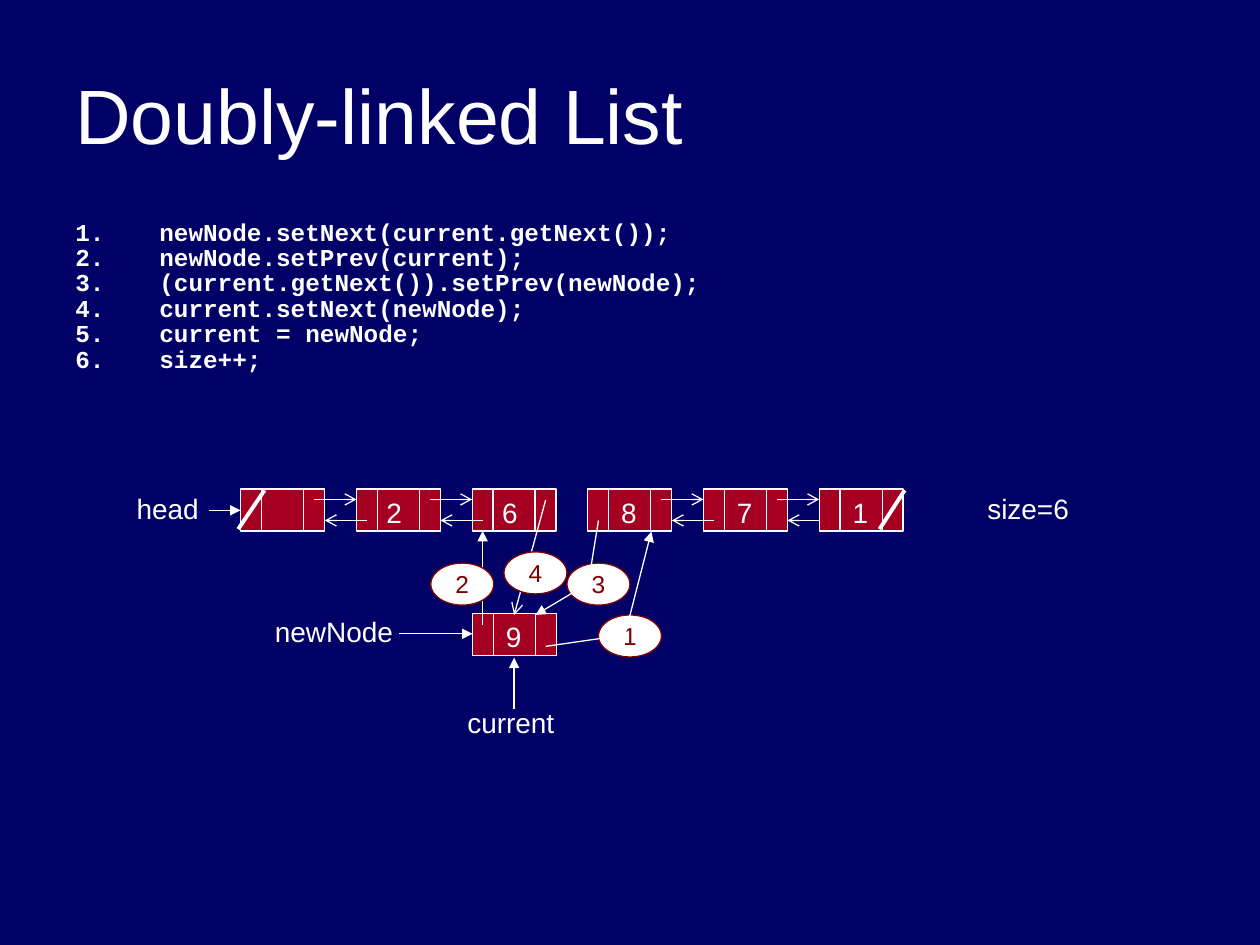
from lxml.etree import SubElement
from pptx import Presentation
from pptx.dml.color import RGBColor
from pptx.enum.shapes import MSO_CONNECTOR as Link, MSO_SHAPE as Preset
from pptx.enum.text import MSO_ANCHOR as Anchor, PP_ALIGN as Align
from pptx.oxml.ns import qn
from pptx.util import Pt

WHITE, NAVY, RED, MAROON = "FFFFFF", "000066", "A50021", "800000"
NODE_LEFT, NODE_TOP, PITCH = 137.6, 279.4, 66.1
NODE_WIDTH, NODE_HEIGHT, CELL = 48, 24, 12
NEW_LEFT, NEW_TOP = 270, 350.6

VALUES = [("", 0), ("2", 10), ("6", 10), ("8", 12), ("7", 12), ("1", 12)]
CODE = [
    "newNode.setNext(current.getNext());",
    "newNode.setPrev(current);",
    "(current.getNext()).setPrev(newNode);",
    "current.setNext(newNode);",
    "current = newNode;",
    "size++;",
]
LABELS = [
    ("size=6", 587.5, 277.2, 70),
    ("head", 95.8, 277.2, 56),
    ("current", 291.9, 399.6, 74),
    ("newNode", 190.8, 347.8, 90),
]
POINTERS = [
    (119.5, 291.6, 137.5, 291.6, "triangle"),
    (293.8, 405.4, 293.8, 375.8, "triangle"),
    (228.2, 362.2, 270, 362.2, "triangle"),
    (275.8, 357.1, 275.8, 303.4, "triangle"),
    (311.8, 285.8, 293.8, 351.4, "arrow"),
]
NULL_MARKS = [(151.2, 280.1, 136.1, 302.4), (517, 280.1, 502.6, 302.4)]
STEPS = [("1", 342, 351.4), ("2", 246.2, 321.8), ("3", 324, 321.8), ("4", 288, 315.4)]
BENT_ARROWS = [
    [(311.8, 369.4), (357.1, 362.9), (372.2, 303.8)],
    [(342, 297.4), (336.2, 333.4), (306, 351.4)],
]


def color(value):
    """Turn a hex string into a colour."""
    return RGBColor.from_string(value)


def apply(target, values):
    """Set each named attribute on the target."""
    for name, value in values.items():
        setattr(target, name, value)


def write(paragraph, words, size, ink=WHITE, **font):
    """Add one formatted run to a paragraph."""
    run = paragraph.add_run()
    run.text = words
    apply(run.font, {"name": "Arial", "size": Pt(size), **font})
    run.font.color.rgb = color(ink)


def text_frame(slide, left, top, width, height, **frame_format):
    """Add a text box and return its frame."""
    frame = slide.shapes.add_textbox(Pt(left), Pt(top), Pt(width), Pt(height)).text_frame
    apply(frame, {"word_wrap": True, **frame_format})
    return frame


def outline(line, ink=WHITE, width=0.75, tail=None):
    """Style a line and give it an optional arrowhead."""
    line.color.rgb = color(ink)
    line.width = Pt(width)
    if tail:
        SubElement(line._get_or_add_ln(), qn("a:tailEnd"), type=tail)


def link(slide, x1, y1, x2, y2, tail=None, width=0.75):
    """Draw a straight line between two points."""
    connector = slide.shapes.add_connector(Link.STRAIGHT, Pt(x1), Pt(y1), Pt(x2), Pt(y2))
    outline(connector.line, width=width, tail=tail)
    SubElement(connector._element.spPr, qn("a:effectLst"))


def bent_arrow(slide, points):
    """Draw an open polyline that ends in an arrowhead."""
    start, *rest = [(Pt(x), Pt(y)) for x, y in points]
    builder = slide.shapes.build_freeform(*start)
    builder.add_line_segments(rest, close=False)
    arrow = builder.convert_to_shape()
    arrow.shadow.inherit = False
    arrow.fill.background()
    outline(arrow.line, tail="triangle")


def filled(slide, preset, left, top, width, fill, ink):
    """Add a filled preset shape of node height."""
    shape = slide.shapes.add_shape(preset, Pt(left), Pt(top), Pt(width), Pt(NODE_HEIGHT))
    shape.shadow.inherit = False
    shape.fill.solid()
    shape.fill.fore_color.rgb = color(fill)
    outline(shape.line, ink)
    return shape


def node(slide, left, top, value, inset):
    """Draw a three-cell list node with its value."""
    filled(slide, Preset.RECTANGLE, left, top, NODE_WIDTH, RED, WHITE)
    for divider in (left + CELL, left + NODE_WIDTH - CELL):
        link(slide, divider, top, divider, top + NODE_HEIGHT)
    if value:
        frame = text_frame(slide, left + inset, top, 24, 26.6)
        write(frame.paragraphs[0], value, 16)


def step(slide, number, left, top):
    """Draw a numbered step marker."""
    frame = filled(slide, Preset.OVAL, left, top, 36, WHITE, MAROON).text_frame
    margins = dict.fromkeys(("margin_left", "margin_right", "margin_top", "margin_bottom"), 0)
    apply(frame, {"vertical_anchor": Anchor.MIDDLE, **margins})
    frame.paragraphs[0].alignment = Align.CENTER
    write(frame.paragraphs[0], number, 14, MAROON)


def label(slide, words, center, top, width):
    """Write a one-line label centred on a position."""
    frame = text_frame(slide, center - width / 2, top, width, 26.6, word_wrap=False)
    frame.paragraphs[0].alignment = Align.CENTER
    write(frame.paragraphs[0], words, 16)


def code_list(slide):
    """Write the numbered code lines."""
    frame = text_frame(slide, 36, 126, 648, 90, margin_top=0)
    for index, statement in enumerate(CODE):
        paragraph = frame.add_paragraph() if index else frame.paragraphs[0]
        paragraph.line_spacing = Pt(14.5)
        properties = paragraph._p.get_or_add_pPr()
        for name, value in {"marL": Pt(48), "indent": Pt(-48)}.items():
            properties.set(name, str(value))
        bullet_color = SubElement(properties, qn("a:buClr"))
        SubElement(bullet_color, qn("a:srgbClr"), val=WHITE)
        SubElement(properties, qn("a:buFont"), typeface="Courier New")
        SubElement(properties, qn("a:buAutoNum"), type="arabicPeriod")
        write(paragraph, statement, 13.9, name="Courier New", bold=True)


def linked_list(slide):
    """Draw the row of nodes, the last one over the links between neighbours."""
    lefts = [NODE_LEFT + PITCH * index for index in range(len(VALUES))]
    *earlier, last = zip(lefts, VALUES)
    for left, (value, inset) in earlier:
        node(slide, left, NODE_TOP, value, inset)
    for index in (0, 1, 3, 4):
        left, following = lefts[index], lefts[index + 1]
        next_y, prev_y = NODE_TOP + 6, NODE_TOP + 18
        link(slide, left + NODE_WIDTH - 6, next_y, following, next_y, "arrow")
        link(slide, following + 6, prev_y, left + NODE_WIDTH, prev_y, "arrow")
    left, (value, inset) = last
    node(slide, left, NODE_TOP, value, inset)


def main():
    """Build and save the slide."""
    deck = Presentation()
    apply(deck, {"slide_width": Pt(720), "slide_height": Pt(540)})
    slide = deck.slides.add_slide(deck.slide_layouts[6])
    slide.background.fill.solid()
    slide.background.fill.fore_color.rgb = color(NAVY)

    title = text_frame(slide, 36, 28.8, 648, 72, vertical_anchor=Anchor.MIDDLE)
    write(title.paragraphs[0], "Doubly-linked List", 44)
    code_list(slide)
    linked_list(slide)
    node(slide, NEW_LEFT, NEW_TOP, "9", 12)
    for caption in LABELS:
        label(slide, *caption)
    for pointer in POINTERS:
        link(slide, *pointer)
    for mark in NULL_MARKS:
        link(slide, *mark, width=2.25)
    for marker in STEPS:
        step(slide, *marker)
    for points in BENT_ARROWS:
        bent_arrow(slide, points)
    deck.save("out.pptx")


if __name__ == "__main__":
    main()
